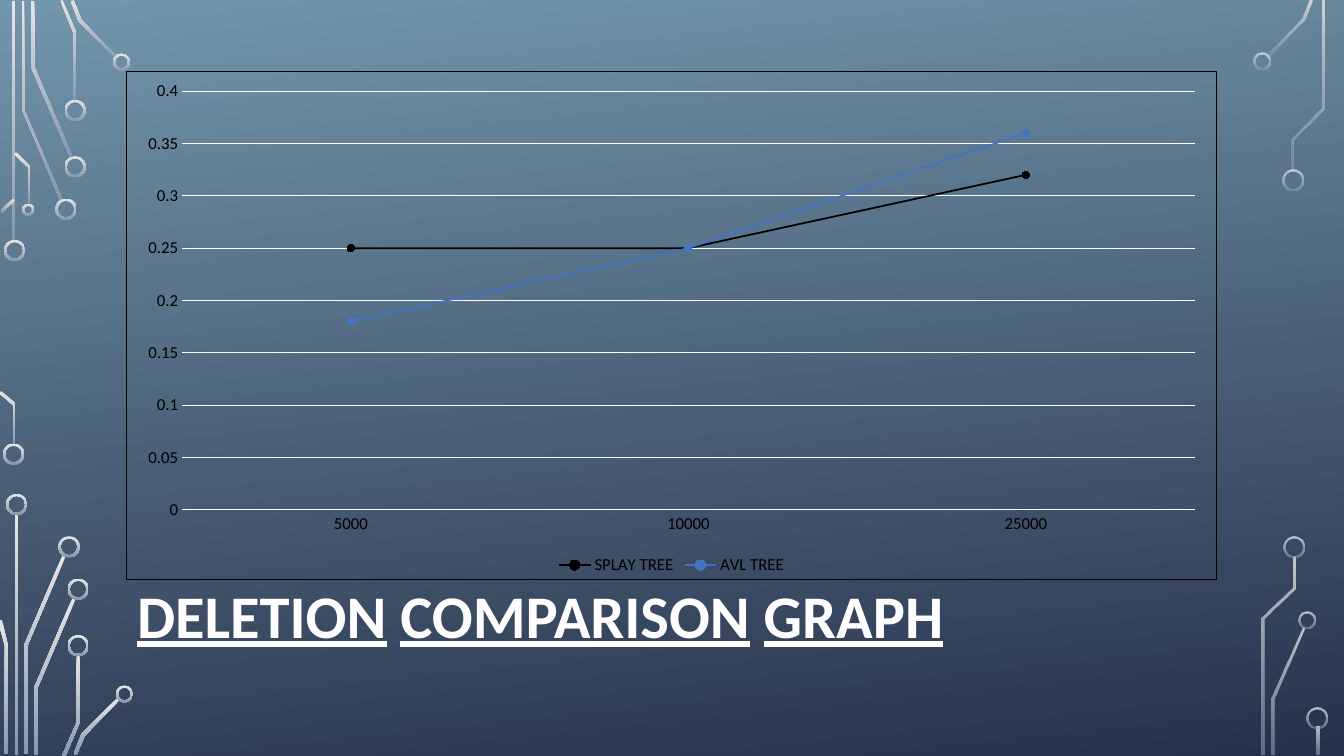
from lxml.etree import SubElement as Sub
from pptx import Presentation as Deck
from pptx.chart.data import CategoryChartData as Data
from pptx.dml.color import RGBColor as RGB
from pptx.enum.chart import XL_CHART_TYPE as Kind, XL_LEGEND_POSITION as Side
from pptx.enum.chart import XL_MARKER_STYLE as Mark, XL_TICK_MARK as Tick
from pptx.enum.shapes import MSO_SHAPE as Form
from pptx.enum.text import MSO_ANCHOR as Anchor, MSO_AUTO_SIZE as Fit, PP_ALIGN as Align
from pptx.oxml import parse_xml as to_xml
from pptx.oxml.ns import nsdecls, qn
from pptx.util import Pt

PX = 9144
HUES = {"sky": "7296AC", "navy": "28314A", "pale": "E7E6E6", "steel": "8497B0",
        "white": "FFFFFF", "black": "000000", "blue": "4472C4"}

LEFT = {
    "bars": [(12, 1, 3, 239), (15, 510, 3, 239)],
    "rings": [(4, 238, 21), (3, 440, 21), (55, 197, 21), (64, 155, 21), (64, 99, 21),
              (112, 53, 17), (22, 202, 12), (6, 490, 21), (58, 532, 21), (67, 574, 21),
              (67, 630, 21), (115, 680, 17)],
    "wires": [
        [(60, 199), (22, 109), (22, 1), (24, 1), (24, 109), (62, 198)],
        [(70, 157), (31, 67), (31, 1), (34, 1), (34, 66), (72, 156)],
        [(76, 100), (73, 100), (73, 33), (60, 1), (62, 0), (76, 33)],
        [(115, 58), (78, 21), (70, 1), (73, 0), (81, 20), (116, 56)],
        [(2, 211), (1, 209), (13, 197), (15, 199)],
        [(15, 441), (13, 441), (13, 402), (-1, 390), (1, 388), (15, 400)],
        [(30, 203), (28, 203), (28, 166), (14, 153), (16, 151), (30, 165)],
        [(27, 748), (24, 748), (24, 640), (62, 551), (65, 552), (27, 641)],
        [(8, 748), (5, 748), (5, 641), (-2, 616), (2, 615), (8, 641)],
        [(37, 749), (34, 749), (34, 682), (72, 593), (75, 594), (37, 683)],
        [(65, 750), (62, 749), (76, 717), (76, 650), (79, 650), (79, 717)],
        [(76, 749), (73, 748), (81, 728), (117, 692), (119, 694), (84, 730)],
    ],
}
RIGHT = {
    "bars": [(1306, 721, 3, 28)],
    "rings": [(1243, 52, 17), (1272, 168, 21), (1288, 607, 17), (1273, 532, 21),
              (1296, 702, 21)],
    "wires": [
        [(1258, 56), (1256, 55), (1291, 19), (1299, 0), (1302, 1), (1294, 20)],
        [(1264, 749), (1261, 749), (1261, 693), (1292, 623), (1294, 624), (1264, 694)],
        [(1283, 169), (1281, 169), (1281, 138), (1311, 107), (1311, 1), (1314, 1),
         (1314, 108), (1283, 139)],
        [(1254, 749), (1251, 749), (1251, 613), (1282, 583), (1282, 552), (1285, 552),
         (1285, 584), (1254, 614)],
    ],
}
SERIES = [("SPLAY TREE", (0.25, 0.25, 0.32), "black"),
          ("AVL TREE", (0.18, 0.25, 0.36), "blue")]
WORDS = [("DELETION", True, True), (" ", False, False), ("COMPARISON", True, True),
         (" ", True, False), ("GRAPH", True, True)]


def put(item, **vals):
    for name, val in vals.items():
        setattr(item, name, val)


def hue(name):
    return RGB.from_string(HUES[name])


class Page:
    font = "Calibri"

    def __init__(self, deck):
        self.slide = deck.slides.add_slide(deck.slide_layouts[5])
        self.shapes = self.slide.shapes

    def blend(self, fill, top, base, angle):
        fill.gradient()
        fill.gradient_angle = 360 - angle
        for stop, name in zip(fill.gradient_stops, (top, base)):
            stop.color.rgb = hue(name)

    def ink(self, shape, alphas):
        self.blend(shape.fill, "pale", "steel", 90)
        shape.line.fill.background()
        shape.shadow.inherit = False
        for tone, alpha in zip(shape._element.spPr.iter(qn("a:srgbClr")), alphas):
            Sub(tone, qn("a:alpha")).set("val", str(alpha * 1000))

    def bar(self, x, y, w, h, alphas):
        self.ink(self.shapes.add_shape(Form.RECTANGLE, x * PX, y * PX, w * PX, h * PX), alphas)

    def ring(self, x, y, d, alphas):
        shape = self.shapes.add_shape(Form.DONUT, x * PX, y * PX, d * PX, d * PX)
        shape.adjustments[0] = 2 / d
        self.ink(shape, alphas)

    def wire(self, dots, alphas):
        pen = self.shapes.build_freeform(*dots[0], scale=PX)
        pen.add_line_segments(dots[1:], close=True)
        self.ink(pen.convert_to_shape(), alphas)

    def board(self, parts, alphas=()):
        for box in parts["bars"]:
            self.bar(*box, alphas)
        for dots in parts["wires"]:
            self.wire(dots, alphas)
        for spot in parts["rings"]:
            self.ring(*spot, alphas)

    def stroke(self, line, name, width):
        line.color.rgb = hue(name)
        line.width = Pt(width)

    def type(self, font, size, name, **more):
        put(font, name=self.font, size=Pt(size), **more)
        font.color.rgb = hue(name)

    def chart(self, x, y, w, h, cats, rows):
        data = Data()
        data.categories = cats
        for name, vals, _ in rows:
            data.add_series(name, vals)
        chart = self.shapes.add_chart(Kind.LINE_MARKERS, x * PX, y * PX, w * PX, h * PX, data).chart
        put(chart, has_title=False, has_legend=True)
        put(chart.legend, position=Side.BOTTOM, include_in_layout=False)
        cat, val = chart.category_axis, chart.value_axis
        for axis in (cat, val):
            put(axis, major_tick_mark=Tick.NONE, minor_tick_mark=Tick.NONE)
        put(val, minimum_scale=0, maximum_scale=0.4, major_unit=0.05, has_major_gridlines=True)
        put(val.tick_labels, number_format="General", number_format_is_linked=False)
        val.format.line.fill.background()
        for line in (cat.format.line, val.major_gridlines.format.line):
            self.stroke(line, "white", 0.75)
        for font in (chart.font, chart.legend.font, cat.tick_labels.font, val.tick_labels.font):
            self.type(font, 12, "black")
        chart.plots[0].vary_by_categories = False
        for line, (_, _, name) in zip(chart.plots[0].series, rows):
            line.smooth = False
            self.stroke(line.format.line, name, 1.25)
            put(line.marker, style=Mark.CIRCLE, size=5)
            line.marker.format.fill.solid()
            line.marker.format.fill.fore_color.rgb = hue(name)
            self.stroke(line.marker.format.line, name, 0.75)
        chart._chartSpace.chart.addnext(to_xml(
            f'<c:spPr {nsdecls("c", "a")}><a:noFill/><a:ln w="9525"><a:solidFill>'
            f'<a:srgbClr val="{HUES["black"]}"/></a:solidFill></a:ln></c:spPr>'))

    def title(self, x, y, w, h, words):
        head = self.shapes.title
        put(head, left=x * PX, top=y * PX, width=w * PX, height=h * PX)
        put(head.text_frame, word_wrap=True, auto_size=Fit.NONE, vertical_anchor=Anchor.BOTTOM)
        para = head.text_frame.paragraphs[0]
        put(para, alignment=Align.LEFT, line_spacing=0.9)
        for text, bold, under in words:
            run = para.add_run()
            run.text = text
            self.type(run.font, 43.2, "white", bold=bold, underline=under)
        self.shapes._spTree.append(head._element)


def main():
    deck = Deck()
    put(deck, slide_width=1333 * PX, slide_height=750 * PX)
    page = Page(deck)
    page.blend(page.slide.background.fill, "sky", "navy", 84)
    page.board(LEFT)
    page.board(RIGHT, (80, 60))
    page.chart(125, 70, 1082, 505, ("5000", "10000", "25000"), SERIES)
    page.title(126, 577, 961, 74, WORDS)
    deck.save("out.pptx")


if __name__ == "__main__":
    main()
